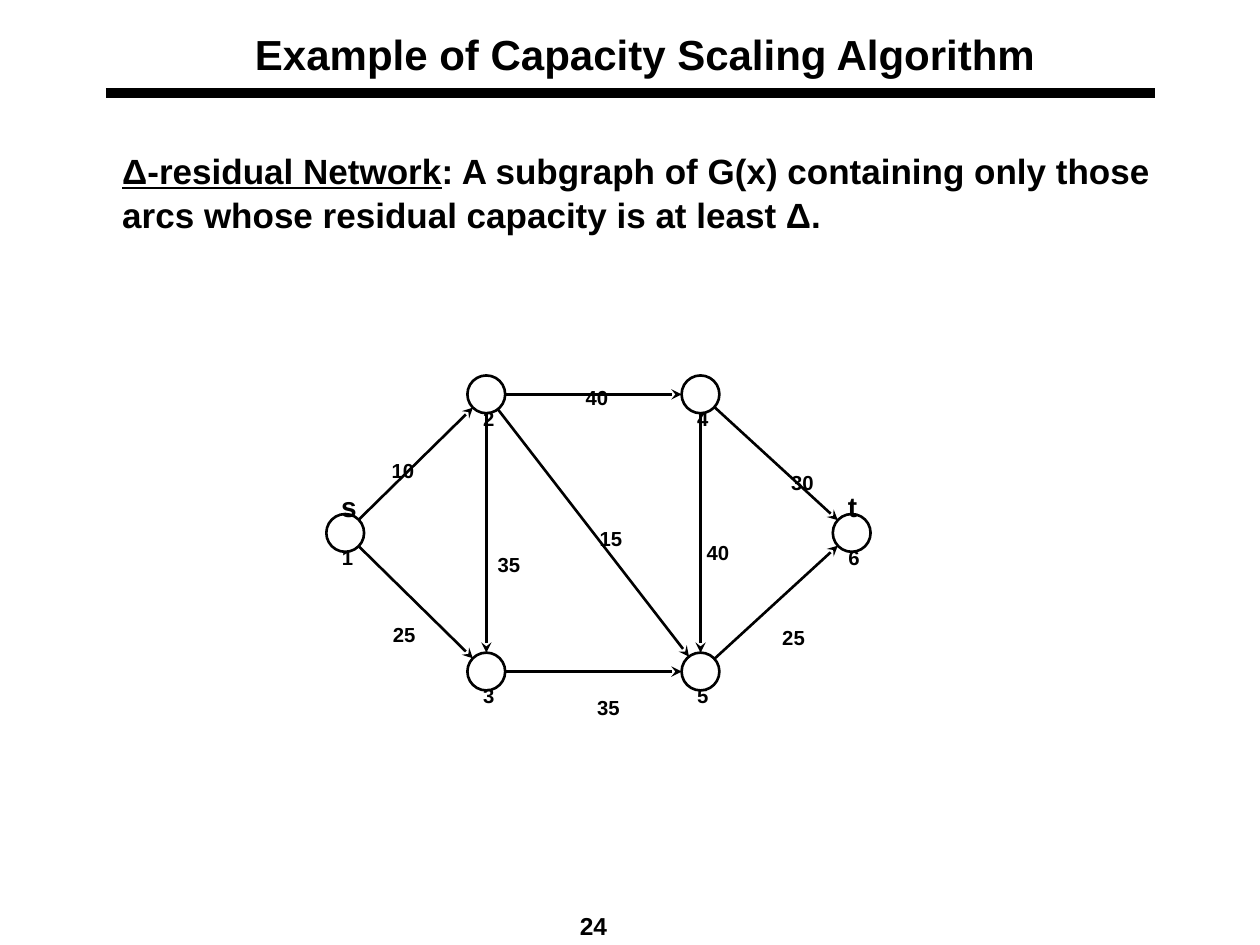
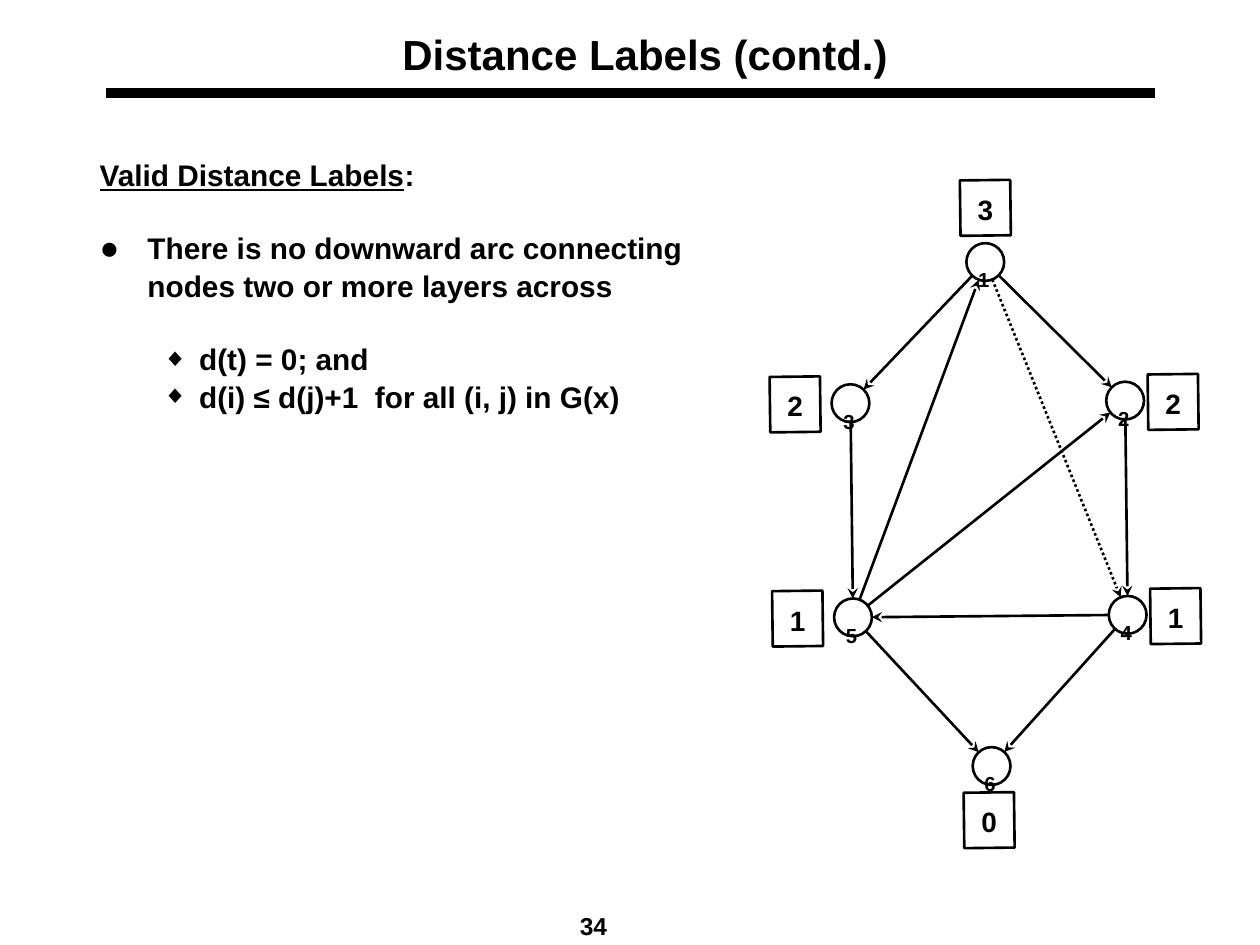
from math import dist

from lxml.etree import SubElement
from pptx import Presentation
from pptx.dml.color import RGBColor
from pptx.enum.dml import MSO_LINE
from pptx.enum.shapes import MSO_CONNECTOR, MSO_SHAPE
from pptx.enum.text import MSO_ANCHOR, MSO_AUTO_SIZE, PP_ALIGN
from pptx.oxml.ns import qn
from pptx.util import Inches, Pt

BLACK = RGBColor(0x00, 0x00, 0x00)
WHITE = RGBColor(0xFF, 0xFF, 0xFF)
FONT = "Arial"
LINE_WIDTH = 1.5
NODE_SIZE = 0.3
TAG_SIZE = (0.44, 0.4)
TAG_TILT = 89.3
# Level, left margin, first-line indent and percent of text size
BULLETS = {"●": (0, 0.38, -0.38, 110), "◆": (1, 0.79, -0.29, 84)}


def add_span(para, text, size, underline=False, subscript=False):
    """Append one bold black run to a paragraph."""
    para.line_spacing = 1.05
    span = para.add_run()
    span.text = text
    span.font.name = FONT
    span.font.size = Pt(size)
    span.font.bold = True
    span.font.underline = underline
    span.font.color.rgb = BLACK
    if subscript:
        span._r.get_or_add_rPr().set("baseline", "-20000")


def add_line(page, start, end, width=LINE_WIDTH, arrow=True, dotted=False):
    line = page.shapes.add_connector(
        MSO_CONNECTOR.STRAIGHT, *(Inches(value) for value in start + end))
    line.line.color.rgb = BLACK
    line.line.width = Pt(width)
    if dotted:
        line.line.dash_style = MSO_LINE.ROUND_DOT
    properties = line._element.spPr
    if arrow:
        SubElement(properties.find(qn("a:ln")), qn("a:tailEnd"), type="stealth")
    SubElement(properties, qn("a:effectLst"))


LEFT, MID_LEFT, MID_RIGHT, RIGHT = 2.74, 3.86, 5.56, 6.76
UPPER, MIDDLE, LOWER = 3.13, 4.23, 5.33
TAG_LEFT, TAG_RIGHT = (-0.44, 0.01), (0.38, 0.01)
TAG_ABOVE, TAG_BELOW = (0, -0.43), (-0.02, 0.43)
TERMINAL = (0.03, -0.22)

# Arcs map "tail head" to a weight and its shift from the arc's middle.
# Tags map a node to a text and its shift from the node.
SLIDES = [
    {
        "title": "Example of Capacity Scaling Algorithm",
        "number": "24",
        "body_place": (0.87, 1.12, 8.5, 0.9),
        "body_size": 20,
        "body": [("", 0, [
            ("Δ-residual Network", True),
            (": A subgraph of G(x) containing only those arcs whose "
             "residual capacity is at least Δ.", False)])],
        "nodes": {"1": (LEFT, MIDDLE), "2": (MID_LEFT, UPPER),
                  "4": (MID_RIGHT, UPPER), "6": (RIGHT, MIDDLE),
                  "5": (MID_RIGHT, LOWER), "3": (MID_LEFT, LOWER)},
        "name_shift": (0.02, 0.09),
        "arcs": {"1 2": ("10", -0.1, -0.05), "1 3": ("25", -0.09, 0.15),
                 "2 3": ("35", 0.18, 0.15), "2 4": ("40", 0.03, -0.08),
                 "2 5": ("15", 0.14, -0.06), "3 5": ("35", 0.12, 0.18),
                 "4 5": ("40", 0.14, 0.05), "4 6": ("30", 0.21, 0.05),
                 "5 6": ("25", 0.14, 0.18)},
        "dotted": "",
        "boxed_tags": False,
        "tags": {"1": ("s", TERMINAL), "6": ("t", TERMINAL)},
    },
    {
        "title": "Distance Labels (contd.)",
        "number": "34",
        "body_place": (0.69, 1.18, 4.99, 2.93),
        "body_size": 17,
        "body": [
            ("", 0, [("Valid Distance Labels", True), (":", False)]),
            ("●", 20.5, [("There is no downward arc connecting nodes two or "
                          "more layers across", False)]),
            ("◆", 20.5, [("d(t) = 0; and", False)]),
            ("◆", 0, [("d(i) ≤ d(j)+1  for all (i, j) in G(x)", False)]),
        ],
        "nodes": {"1": (7.82, 2.08), "2": (8.93, 3.18), "4": (8.95, 4.88),
                  "6": (7.87, 6.08), "5": (6.77, 4.9), "3": (6.75, 3.2)},
        "name_shift": (-0.01, 0.04),
        "arcs": dict.fromkeys(
            ["1 2", "2 4", "4 6", "5 6", "3 5", "1 3", "4 5", "5 1", "5 2", "1 4"]),
        "dotted": "1 4",
        "boxed_tags": True,
        "tags": {"1": ("3", TAG_ABOVE), "2": ("2", TAG_RIGHT),
                 "3": ("2", TAG_LEFT), "4": ("1", TAG_RIGHT),
                 "5": ("1", TAG_LEFT), "6": ("0", TAG_BELOW)},
    },
]

deck = Presentation()
deck.slide_width, deck.slide_height = Inches(10), Inches(7.5)

for content in SLIDES:
    page = deck.slides.add_slide(deck.slide_layouts[1])
    add_line(page, (0.84, 0.74), (9.17, 0.74), width=6, arrow=False)

    title, body = page.placeholders
    for holder, place, anchor in (
            (title, (0.73, 0.23, 8.78, 0.37), MSO_ANCHOR.MIDDLE),
            (body, content["body_place"], MSO_ANCHOR.TOP)):
        holder.left, holder.top, holder.width, holder.height = map(Inches, place)
        holder.text_frame.auto_size = MSO_AUTO_SIZE.NONE
        holder.text_frame.word_wrap = True
        holder.text_frame.vertical_anchor = anchor

    heading = title.text_frame.paragraphs[0]
    heading.alignment = PP_ALIGN.CENTER
    add_span(heading, content["title"], 24)

    frame = body.text_frame
    for index, (bullet, before, spans) in enumerate(content["body"]):
        para = frame.add_paragraph() if index else frame.paragraphs[0]
        level, margin, indent, percent = BULLETS.get(bullet, (0, 0, 0, 0))
        para.level = level
        properties = para._p.get_or_add_pPr()
        properties.set("marL", str(Inches(margin)))
        properties.set("indent", str(Inches(indent)))
        if bullet:
            color = SubElement(properties, qn("a:buClr"))
            SubElement(color, qn("a:srgbClr"), val=str(BLACK))
            SubElement(properties, qn("a:buSzPct"), val=str(percent * 1000))
            SubElement(properties, qn("a:buChar"), char=bullet)
        else:
            SubElement(properties, qn("a:buNone"))
        para.space_before = Pt(before)
        for text, underline in spans:
            add_span(para, text, content["body_size"], underline)

    # Outlines and captions are collected by their centres, then drawn.
    nodes = content["nodes"]
    outlines = [(MSO_SHAPE.OVAL, x, y, NODE_SIZE, NODE_SIZE, 0)
                for x, y in nodes.values()]
    shift_x, shift_y = content["name_shift"]
    captions = [(name, x + shift_x, y + shift_y, 20, True)
                for name, (x, y) in nodes.items()]

    for node, (text, (shift_x, shift_y)) in content["tags"].items():
        x, y = nodes[node][0] + shift_x, nodes[node][1] + shift_y
        captions.append((text, x, y, 16, False))
        if content["boxed_tags"]:
            outlines.append((MSO_SHAPE.RECTANGLE, x, y, *TAG_SIZE, TAG_TILT))

    for kind, x, y, width, height, tilt in outlines:
        outline = page.shapes.add_shape(
            kind, Inches(x - width / 2), Inches(y - height / 2),
            Inches(width), Inches(height))
        outline.rotation = tilt
        outline.shadow.inherit = False
        outline.fill.solid()
        outline.fill.fore_color.rgb = WHITE
        outline.line.color.rgb = BLACK
        outline.line.width = Pt(LINE_WIDTH)

    for arc, weight in content["arcs"].items():
        (x1, y1), (x2, y2) = (nodes[name] for name in arc.split())
        trim = NODE_SIZE / 2 / dist((x1, y1), (x2, y2))
        trim_x, trim_y = (x2 - x1) * trim, (y2 - y1) * trim
        add_line(page, (x1 + trim_x, y1 + trim_y), (x2 - trim_x, y2 - trim_y),
                 dotted=arc == content["dotted"])
        if weight:
            text, shift_x, shift_y = weight
            captions.append(
                (text, (x1 + x2) / 2 + shift_x, (y1 + y2) / 2 + shift_y, 20, True))

    for text, x, y, size, subscript in captions:
        width = 0.2 + 0.09 * len(text) if subscript else 0.32
        height = 0.47 if subscript else 0.37
        box = page.shapes.add_textbox(
            Inches(x - width / 2), Inches(y - height / 2), Inches(width), Inches(height))
        box.text_frame.word_wrap = False
        box.text_frame.auto_size = MSO_AUTO_SIZE.SHAPE_TO_FIT_TEXT
        add_span(box.text_frame.paragraphs[0], text, size, subscript=subscript)

    footer = page.shapes.add_textbox(Inches(3.67), Inches(7.17), Inches(2.08), Inches(0.25))
    footer.text_frame.word_wrap = True
    page_number = footer.text_frame.paragraphs[0]
    page_number.alignment = PP_ALIGN.CENTER
    add_span(page_number, content["number"], 14)

deck.save("out.pptx")
